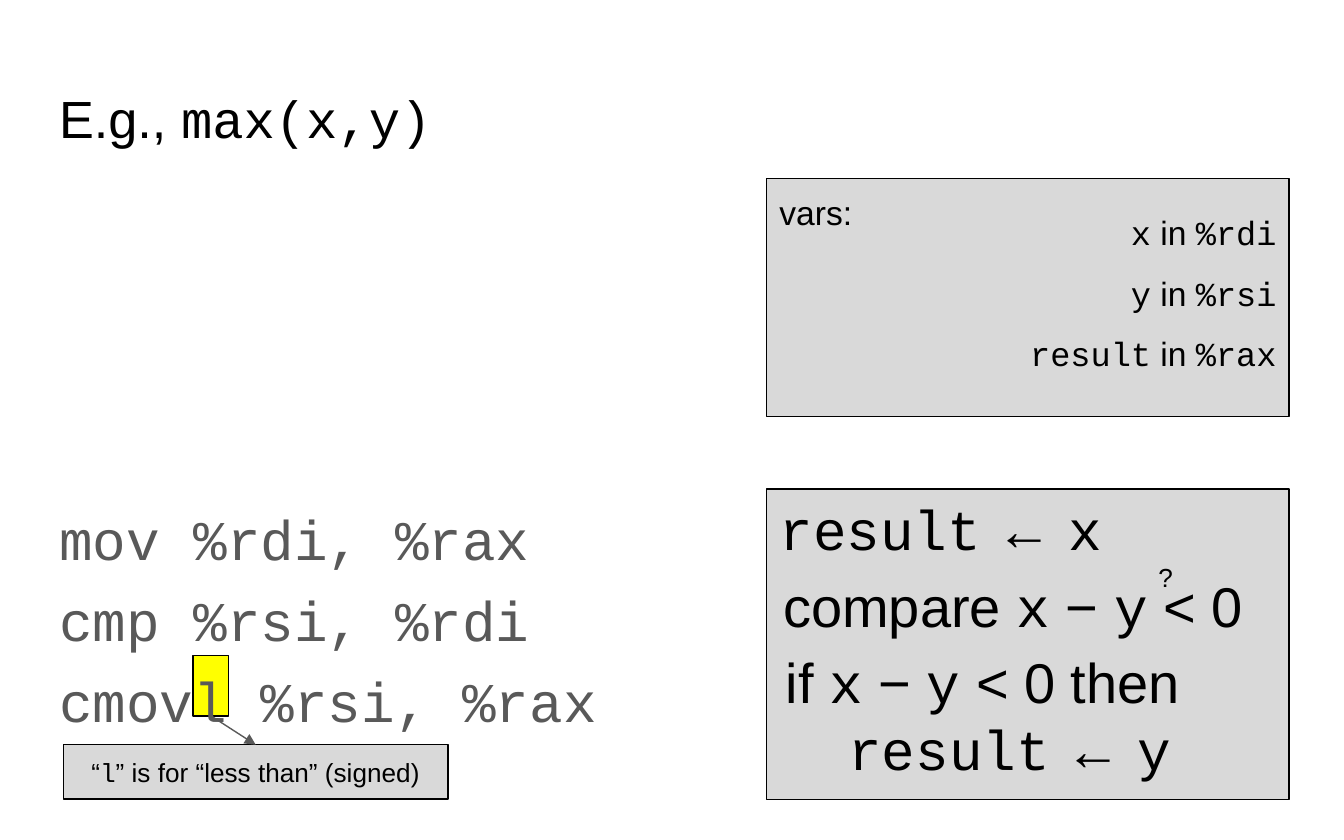
from lxml import etree
from pptx import Presentation
from pptx.dml.color import RGBColor
from pptx.enum import shapes, text
from pptx.oxml import ns
from pptx.util import Pt

BLACK, GREY, PANEL, YELLOW = "000000", "595959", "D9D9D9", "FFFF00"
PROSE, CODE = "Arial", "Courier New"
MARGIN = 7.2


def color(value):
    return RGBColor.from_string(value)


def place(shape, box):
    for name, value in zip(("left", "top", "width", "height"), box):
        setattr(shape, name, Pt(value))


def write(shape, lines, size, ink=BLACK, anchor=text.MSO_ANCHOR.TOP,
          indents=(), gap=0, **paragraph_format):
    """Fill a shape with lines; the parts between backticks are set as code."""
    frame = shape.text_frame
    frame_format = {"word_wrap": True, "auto_size": text.MSO_AUTO_SIZE.NONE,
                    "vertical_anchor": anchor}
    for side in ("left", "top", "right", "bottom"):
        frame_format["margin_" + side] = Pt(MARGIN)
    for name, value in frame_format.items():
        setattr(frame, name, value)

    style = {"alignment": text.PP_ALIGN.LEFT, "line_spacing": 1.0} | paragraph_format
    for number, line in enumerate(lines):
        paragraph = frame.paragraphs[0] if number == 0 else frame.add_paragraph()
        properties = paragraph._p.get_or_add_pPr()
        indent = indents[number] if indents else 0
        properties.set("marL", str(Pt(indent)))
        properties.set("indent", "0")
        etree.SubElement(properties, ns.qn("a:buNone"))
        style["space_before"] = Pt(gap if number else 0)
        for name, value in style.items():
            setattr(paragraph, name, value)
        for position, part in enumerate(line.split("`")):
            if part:
                run = paragraph.add_run()
                run.text = part
                run.font.name = CODE if position % 2 else PROSE
                run.font.size = Pt(size)
                run.font.color.rgb = color(ink)


def add_label(slide, box, lines, size, **options):
    label = slide.shapes.add_textbox(*map(Pt, box))
    write(label, lines, size, **options)


def add_panel(slide, box, fill=PANEL):
    panel = slide.shapes.add_shape(shapes.MSO_SHAPE.RECTANGLE, *map(Pt, box))
    panel.shadow.inherit = False
    panel.fill.solid()
    panel.fill.fore_color.rgb = color(fill)
    panel.line.color.rgb = color(BLACK)
    panel.line.width = Pt(0.75)
    return panel


def add_title(slide, box):
    title = slide.shapes.title
    place(title, box)
    write(title, ["E.g., `max(x,y)`"], 28)


def add_assembly(slide, box):
    """Place the instructions and return the marker behind the suffix letter."""
    left, top, _, _ = box
    body = slide.placeholders[1]
    place(body, box)
    write(body, ["`mov %rdi, %rax`", "`cmp %rsi, %rdi`", "`cmovl %rsi, %rax`"],
          30, ink=GREY, gap=2, line_spacing=1.15)
    marker = add_panel(slide, (left + 79, top + 93.25, 19, 32.5), YELLOW)
    slide.shapes._spTree.insert(2, marker._element)  # send to back
    return marker


def add_variables(slide, box):
    left, top, width, _ = box
    panel = add_panel(slide, box)
    write(panel, ["vars:"], 18)
    add_label(slide, (left + 7, top, width - 6.5, 69),
              ["`x` in `%rdi`", "`y` in `%rsi`", "`result` in `%rax`"], 18,
              alignment=text.PP_ALIGN.RIGHT, line_spacing=1.5)


def add_steps(slide, box):
    left, top, _, _ = box
    add_panel(slide, box)
    add_label(slide, (left, top - 4.25, 206, 69), ["`result` ← `x`"], 30)
    add_label(slide, (left + 3.5, top + 77.75, 294, 107),
              ["if `x` − `y` < 0 then", "`result` ← `y`"], 30, indents=(0, 33.35))
    add_label(slide, (left + 2, top + 36.75, 294, 69), ["compare `x` − `y` < 0"], 30)
    add_label(slide, (left + 203, top + 31.75, 29, 44), ["?"], 14)


def add_suffix_note(slide, box, marker):
    note = add_panel(slide, box)
    write(note, ["“`l`” is for “less than” (signed)"], 14,
          anchor=text.MSO_ANCHOR.MIDDLE, alignment=text.PP_ALIGN.CENTER)

    # Arrow from the marker to the note
    arrow = slide.shapes.add_connector(shapes.MSO_CONNECTOR.STRAIGHT, 0, 0, 0, 0)
    arrow.begin_connect(marker, 2)
    arrow.end_connect(note, 0)
    arrow.line.color.rgb = color(GREY)
    arrow.line.width = Pt(0.75)
    etree.SubElement(arrow.line._get_or_add_ln(), ns.qn("a:tailEnd"), type="triangle")
    etree.SubElement(arrow._element.spPr, ns.qn("a:effectLst"))


def main():
    presentation = Presentation()
    presentation.slide_width, presentation.slide_height = Pt(720), Pt(450)
    slide = presentation.slides.add_slide(presentation.slide_layouts[1])

    add_title(slide, (24.5, 39, 671, 50))
    marker = add_assembly(slide, (24.5, 257.75, 671, 150))
    add_variables(slide, (410.5, 95.75, 280, 127.5))
    add_steps(slide, (410.5, 262, 280, 166.5))
    add_suffix_note(slide, (34, 399, 206, 29), marker)

    presentation.save("out.pptx")


if __name__ == "__main__":
    main()
